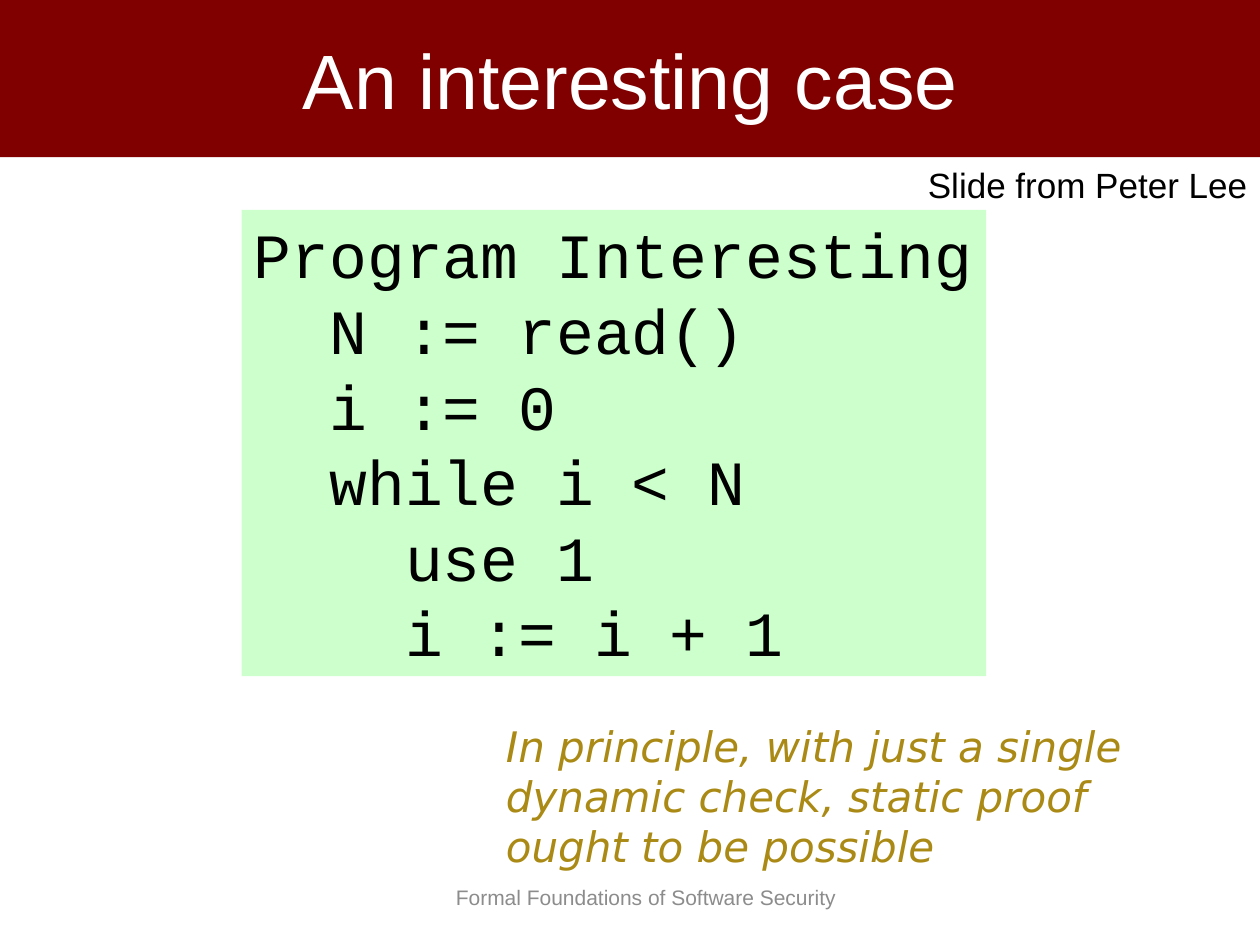
from dataclasses import dataclass
from typing import Optional

from pptx import Presentation
from pptx.dml.color import RGBColor
from pptx.enum.shapes import MSO_SHAPE as Shape
from pptx.enum.text import MSO_ANCHOR as Anchor, PP_ALIGN as Align
from pptx.util import Cm, Pt


@dataclass(frozen=True)
class Theme:
    maroon: str = "800000"
    mint: str = "CCFFCC"
    gold: str = "AA8A14"
    gray: str = "8C8C8C"
    white: str = "FFFFFF"
    black: str = "000000"
    sans: str = "Arial"
    mono: str = "Courier New"
    remark: str = "DejaVu Sans"
    title_size: int = 44
    code_size: int = 36
    remark_size: int = 24
    credit_size: int = 20
    footer_size: int = 12


THEME = Theme()


@dataclass(frozen=True)
class Block:
    """A text block; left, top, width and height are in centimetres."""
    left: float
    top: float
    width: float
    height: float
    lines: tuple[str, ...]
    font: str
    size: int
    color: str
    fill: Optional[str] = None
    align: Align = Align.LEFT
    anchor: Anchor = Anchor.TOP
    italic: bool = False
    wrap: bool = True


def draw_block(slide, block: Block) -> None:
    bounds = [Cm(n) for n in (block.left, block.top, block.width, block.height)]
    if block.fill:
        shape = slide.shapes.add_shape(Shape.RECTANGLE, *bounds)
        shape.shadow.inherit = False
        shape.fill.solid()
        shape.fill.fore_color.rgb = RGBColor.from_string(block.fill)
        shape.line.fill.background()
    else:
        shape = slide.shapes.add_textbox(*bounds)

    frame = shape.text_frame
    frame.word_wrap = block.wrap
    frame.vertical_anchor = block.anchor
    for index, line in enumerate(block.lines):
        paragraph = frame.add_paragraph() if index else frame.paragraphs[0]
        paragraph.alignment = block.align
        run = paragraph.add_run()
        run.text = line
        run.font.name = block.font
        run.font.size = Pt(block.size)
        run.font.italic = block.italic
        run.font.color.rgb = RGBColor.from_string(block.color)


BLOCKS = (
    # Footer
    Block(8.94, 17.58, 8.59, 1.02, ("Formal Foundations of Software Security",),
          THEME.sans, THEME.footer_size, THEME.gray, anchor=Anchor.MIDDLE),
    # Title band
    Block(0, 0, 25.43, 3.17, ("An interesting case",),
          THEME.sans, THEME.title_size, THEME.white, fill=THEME.maroon,
          align=Align.CENTER, anchor=Anchor.MIDDLE),
    # Program listing
    Block(4.87, 4.23, 15.01, 9.4,
          ("Program Interesting",
           "  N := read()",
           "  i := 0",
           "  while i < N",
           "    use 1",
           "    i := i + 1"),
          THEME.mono, THEME.code_size, THEME.black, fill=THEME.mint, wrap=False),
    # Remark
    Block(9.95, 14.39, 13.41, 3.3,
          ("In principle, with just a single dynamic check, "
           "static proof ought to be possible",),
          THEME.remark, THEME.remark_size, THEME.gold, italic=True),
    # Credit
    Block(18.26, 3.17, 7.14, 1.12, ("Slide from Peter Lee",),
          THEME.sans, THEME.credit_size, THEME.black, align=Align.RIGHT),
)


def main() -> None:
    presentation = Presentation()
    presentation.slide_width = Cm(25.4)
    presentation.slide_height = Cm(19.05)
    slide = presentation.slides.add_slide(presentation.slide_layouts[6])
    for block in BLOCKS:
        draw_block(slide, block)
    presentation.save("out.pptx")


if __name__ == "__main__":
    main()
